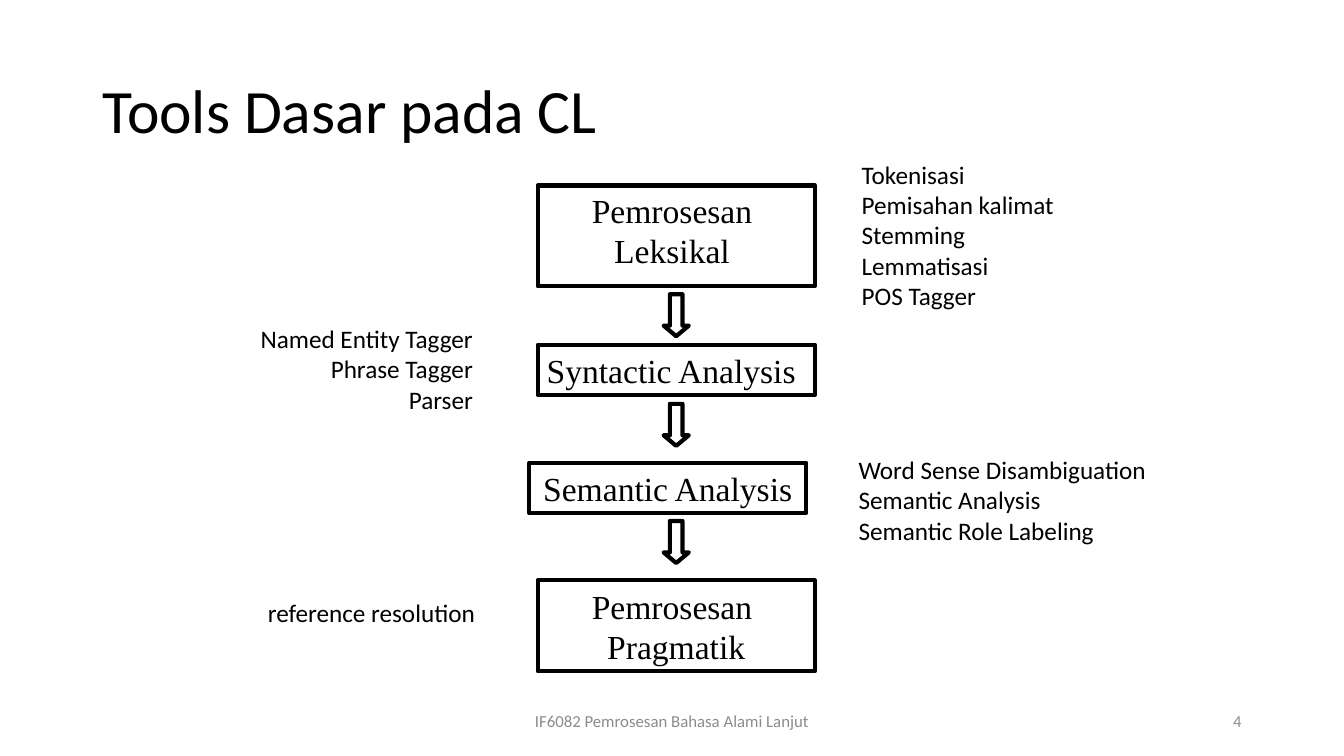
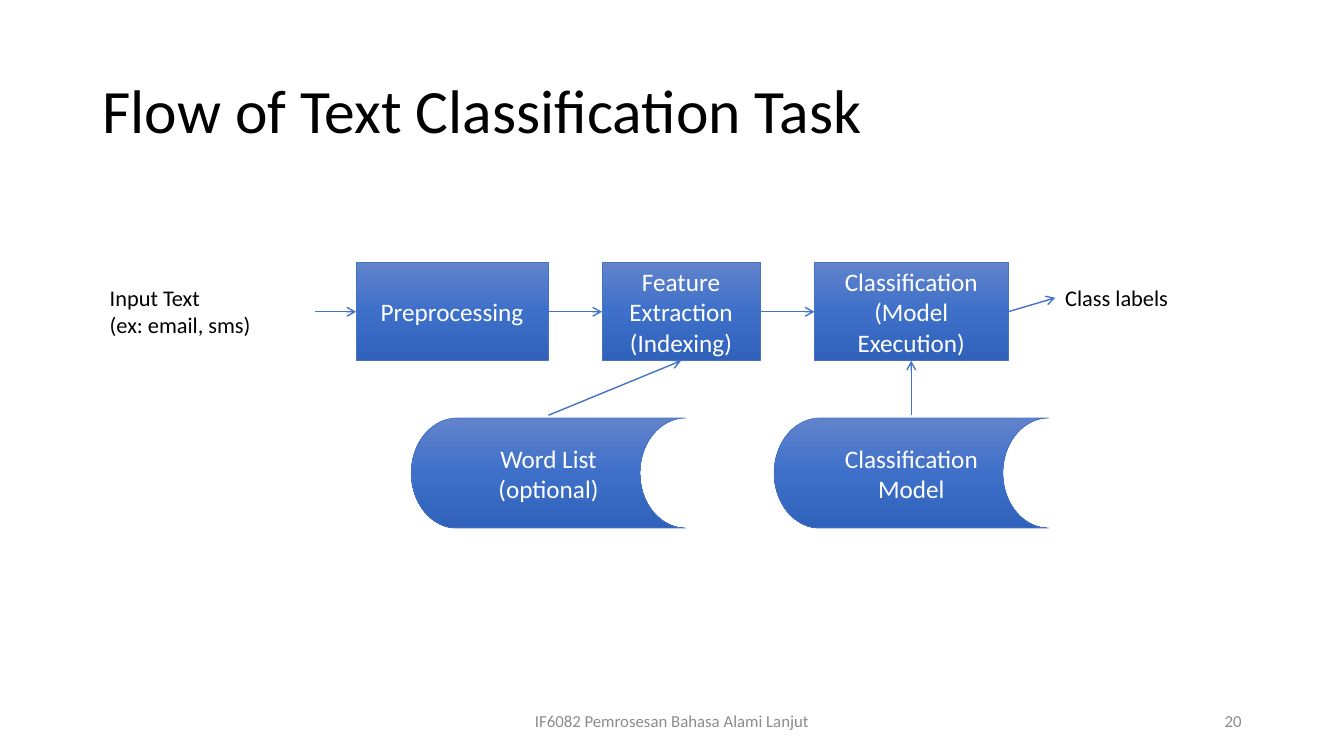
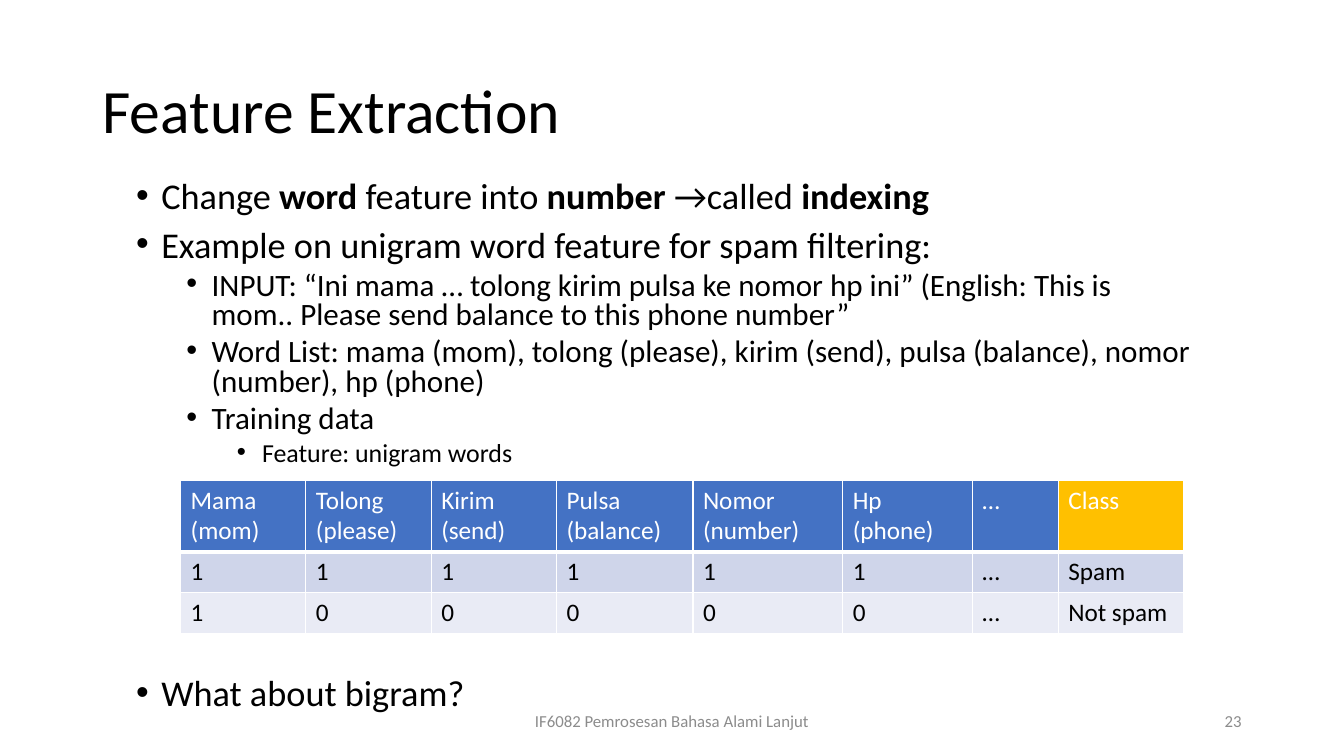
import copy
import dataclasses

import lxml.etree
import pptx
import pptx.dml.color
import pptx.enum.shapes
import pptx.enum.text
import pptx.oxml.ns
import pptx.util

Pt = pptx.util.Pt
qn = pptx.oxml.ns.qn
Shape = pptx.enum.shapes.MSO_SHAPE
Align = pptx.enum.text.PP_ALIGN
Anchor = pptx.enum.text.MSO_ANCHOR
TOP, LEFT, BOTTOM, RIGHT = range(4)


@dataclasses.dataclass(frozen=True)
class Theme:
    font: str = "Calibri"
    serif: str = "Times New Roman"
    ink: str = "000000"
    paper: str = "FFFFFF"
    muted: str = "8C8C8C"
    accent: str = "4472C4"
    highlight: str = "FFC000"
    gradient: tuple = ("6183CB", "3E70CA", "3062BB")
    bands: tuple = ("CFD5EA", "E9EBF5")
    title: float = 44
    stage: float = 24
    label: float = 18
    caption: float = 16
    footer: float = 12
    levels: tuple = (25.9, 22.2, 18.5)


THEME = Theme()
FOOTER = "IF6082 Pemrosesan Bahasa Alami Lanjut"


def rgb(value):
    return pptx.dml.color.RGBColor.from_string(value)


def write(para, text, size=THEME.label, color=THEME.ink, font=THEME.font,
          align=Align.LEFT, spacing=None, before=0):
    """Fill a paragraph; parts between asterisks are bold."""
    para.alignment = align
    para.line_spacing = spacing
    para.space_before = Pt(before)
    for index, part in enumerate(text.split("*")):
        if part:
            span = para.add_run()
            span.text = part
            span.font.size = Pt(size)
            span.font.name = font
            span.font.bold = index % 2 == 1
            span.font.color.rgb = rgb(color)


def write_lines(frame, lines, anchor=Anchor.TOP, **style):
    frame.word_wrap = True
    frame.auto_size = pptx.enum.text.MSO_AUTO_SIZE.NONE
    frame.vertical_anchor = anchor
    for index, line in enumerate(lines):
        para = frame.add_paragraph() if index else frame.paragraphs[0]
        write(para, line, **style)


def place(shape, left, top, width, height):
    shape.left, shape.top = Pt(left), Pt(top)
    shape.width, shape.height = Pt(width), Pt(height)


class Deck:
    """The presentation, its theme and the slide being built."""

    def __init__(self, theme):
        self.theme = theme
        self.file = pptx.Presentation()
        self.file.slide_width, self.file.slide_height = Pt(960), Pt(540)
        self.page = None

    def add_page(self, title, number, layout="Title Only"):
        self.page = self.file.slides.add_slide(
            self.file.slide_layouts.get_by_name(layout))
        heading = self.page.shapes.title
        place(heading, 66, 28.8, 828, 104.4)
        write_lines(heading.text_frame, [title], Anchor.MIDDLE,
                    size=self.theme.title, spacing=0.9)
        small = dict(anchor=Anchor.MIDDLE, size=self.theme.footer,
                     color=self.theme.muted)
        self.text((318, 500.5, 324, 28.8), [FOOTER], align=Align.CENTER, **small)
        self.text((678, 500.5, 216, 28.8), [str(number)], align=Align.RIGHT, **small)

    def text(self, area, lines, **style):
        box = self.page.shapes.add_textbox(*map(Pt, area))
        write_lines(box.text_frame, lines, **style)
        return box

    def outline(self, kind, area):
        shape = self.page.shapes.add_shape(kind, *map(Pt, area))
        shape.shadow.inherit = False
        shape.fill.background()
        shape.line.color.rgb = rgb(self.theme.ink)
        shape.line.width = Pt(3)
        return shape

    def stage(self, area, lines, right=0, bottom=0):
        """Outlined box; the right and bottom insets push its text aside."""
        frame = self.outline(Shape.RECTANGLE, area).text_frame
        frame.margin_left = frame.margin_top = 0
        frame.margin_right, frame.margin_bottom = Pt(right), Pt(bottom)
        write_lines(frame, lines, Anchor.MIDDLE, size=self.theme.stage,
                    font=self.theme.serif, align=Align.CENTER)

    def block_arrow(self, area):
        arrow = self.outline(Shape.DOWN_ARROW, area)
        arrow.adjustments[0], arrow.adjustments[1] = 0.5, 0.42

    def gradient_box(self, kind, area, text):
        box = self.page.shapes.add_shape(kind, *map(Pt, area))
        box.shadow.inherit = False
        box.fill.gradient()
        box.fill.gradient_angle = 270
        stops = box._element.spPr.find(".//" + qn("a:gsLst"))
        stops.insert(1, copy.deepcopy(stops[0]))
        for index, stop in enumerate(box.fill.gradient_stops):
            stop.color.rgb = rgb(self.theme.gradient[index])
            stop.position = index / 2
        box.line.color.rgb = rgb(self.theme.accent)
        box.line.width = Pt(0.5)
        write_lines(box.text_frame, [text], Anchor.MIDDLE,
                    color=self.theme.paper, align=Align.CENTER)
        return box

    def arrow(self, target, side, source=None, start=(0, 0)):
        """Arrow to a side of target, from the right of source or from a point."""
        x, y = map(Pt, start)
        line = self.page.shapes.add_connector(
            pptx.enum.shapes.MSO_CONNECTOR.STRAIGHT, x, y, x, y)
        if source is not None:
            line.begin_connect(source, RIGHT)
        line.end_connect(target, side)
        line.line.color.rgb = rgb(self.theme.accent)
        line.line.width = Pt(1)
        lxml.etree.SubElement(line.line._get_or_add_ln(), qn("a:tailEnd"), type="arrow")
        lxml.etree.SubElement(line._element.spPr, qn("a:effectLst"))

    def bullets(self, area, items):
        """Fill the body with (level, space before, text) items."""
        body = self.page.placeholders[1]
        place(body, *area)
        frame = body.text_frame
        write_lines(frame, [])
        for index, (level, before, text) in enumerate(items):
            para = frame.add_paragraph() if index else frame.paragraphs[0]
            para.level = level
            write(para, text, size=self.theme.levels[level], spacing=0.8, before=before)
            properties = para._p.get_or_add_pPr()
            properties.set("marL", str(Pt(18 + 36 * level)))
            properties.set("indent", str(Pt(-18)))
            lxml.etree.SubElement(properties, qn("a:buChar"), char="•")

    def cell_borders(self, cell, top, bottom):
        properties = cell._tc.get_or_add_tcPr()
        sides = (("a:lnL", 1), ("a:lnR", 1), ("a:lnT", top), ("a:lnB", bottom))
        for index, (tag, width) in enumerate(sides):
            border = lxml.etree.Element(qn(tag), w=str(Pt(width)))
            fill = lxml.etree.SubElement(border, qn("a:solidFill"))
            lxml.etree.SubElement(fill, qn("a:srgbClr"), val=self.theme.paper)
            properties.insert(index, border)

    def table(self, left, top, widths, heights, rows):
        """Banded table whose last heading is highlighted."""
        table = self.page.shapes.add_table(
            len(rows), len(widths), Pt(left), Pt(top),
            Pt(sum(widths)), Pt(sum(heights))).table
        table.first_row = table.horz_banding = False
        for column, width in zip(table.columns, widths):
            column.width = Pt(width)
        for r, (values, height) in enumerate(zip(rows, heights)):
            table.rows[r].height = Pt(height)
            for c, value in enumerate(values):
                cell = table.cell(r, c)
                if r:
                    fill = self.theme.bands[(r - 1) % 2]
                else:
                    last = c == len(widths) - 1
                    fill = self.theme.highlight if last else self.theme.accent
                cell.fill.solid()
                cell.fill.fore_color.rgb = rgb(fill)
                self.cell_borders(cell, 3 if r == 1 else 1, 1 if r else 3)
                write(cell.text_frame.paragraphs[0], value,
                      color=self.theme.ink if r else self.theme.paper)


def build_tools(deck):
    deck.add_page("Tools Dasar pada CL", 4)
    deck.stage((384, 132.5, 198, 72), ["Pemrosesan ", "Leksikal "], bottom=8)
    deck.stage((384, 246.2, 198, 36), ["Syntactic Analysis"], right=7.2)
    deck.stage((378, 330.5, 198, 36), ["Semantic Analysis"])
    deck.stage((384, 414.5, 198, 65), ["Pemrosesan ", "Pragmatik"])
    for top in (210.2, 288.5, 372.2):
        deck.block_arrow((474, top, 18, 30))
    deck.text((608.4, 110.2, 153.4, 116.6),
              ["Tokenisasi", "Pemisahan kalimat", "Stemming", "Lemmatisasi", "POS Tagger"])
    deck.text((177.1, 227.5, 167.8, 72.7),
              ["Named Entity Tagger", "Phrase Tagger", "Parser"], align=Align.RIGHT)
    deck.text((606.2, 321.1, 222.5, 72.7),
              ["Word Sense Disambiguation", "Semantic Analysis", "Semantic Role Labeling"])
    deck.text((182.2, 423.4, 164.2, 28.8), ["reference resolution"], align=Align.RIGHT)


def build_flow(deck):
    deck.add_page("Flow of Text Classification Task", 20)
    top, height = 187.7, 70
    steps = [deck.gradient_box(Shape.RECTANGLE, (left, top, width, height), text)
             for left, width, text in ((254.4, 137, "Preprocessing"),
                                       (430, 113, "Feature Extraction (Indexing)"),
                                       (581.8, 138.2, "Classification (Model Execution)"))]
    source = deck.text((71.3, 199.7, 154, 46), ["Input Text", "(ex: email, sms)"],
                       size=deck.theme.caption)
    result = deck.text((753.8, 199.4, 118, 26.7), ["Class labels"],
                       size=deck.theme.caption)
    for left, text in ((293.8, "Word List (optional)"), (553, "Classification Model")):
        deck.gradient_box(Shape.FLOWCHART_STORED_DATA, (left, 298.6, 196, 78.6), text)
    chain = [source, *steps, result]
    for begin, end in zip(chain, chain[1:]):
        deck.arrow(end, LEFT, source=begin)
    deck.arrow(steps[1], BOTTOM, start=(391.8, 296.6))
    deck.arrow(steps[2], BOTTOM, start=(650.9, 296.6))


def build_features(deck):
    deck.add_page("Feature Extraction", 23, "Title and Content")
    deck.bullets((90, 126, 769.7, 414), [
        (0, 10, "Change *word *feature into *number *→called *indexing*"),
        (0, 10, "Example on unigram word feature for spam filtering:"),
        (1, 5, "INPUT: “Ini mama … tolong kirim pulsa ke nomor hp ini” (English: "
               "This is mom.. Please send balance to this phone number”"),
        (1, 5, "Word List: mama (mom), tolong (please), kirim (send), "
               "pulsa (balance), nomor (number), hp (phone)"),
        (1, 5, "Training data"),
        (2, 5, "Feature: unigram words"),
        (0, 151, "What about bigram?"),
    ])
    deck.table(129, 343, (89.5, 89.5, 89.5, 97.5, 107, 92.5, 61.5, 89.5), (50.4, 29.2, 29.2), [
        ("Mama (mom)", "Tolong (please)", "Kirim (send)", "Pulsa (balance)",
         "Nomor (number)", "Hp (phone)", "…", "Class"),
        ("1", "1", "1", "1", "1", "1", "…", "Spam"),
        ("1", "0", "0", "0", "0", "0", "…", "Not spam"),
    ])


def main():
    deck = Deck(THEME)
    build_tools(deck)
    build_flow(deck)
    build_features(deck)
    deck.file.save("out.pptx")


if __name__ == "__main__":
    main()
